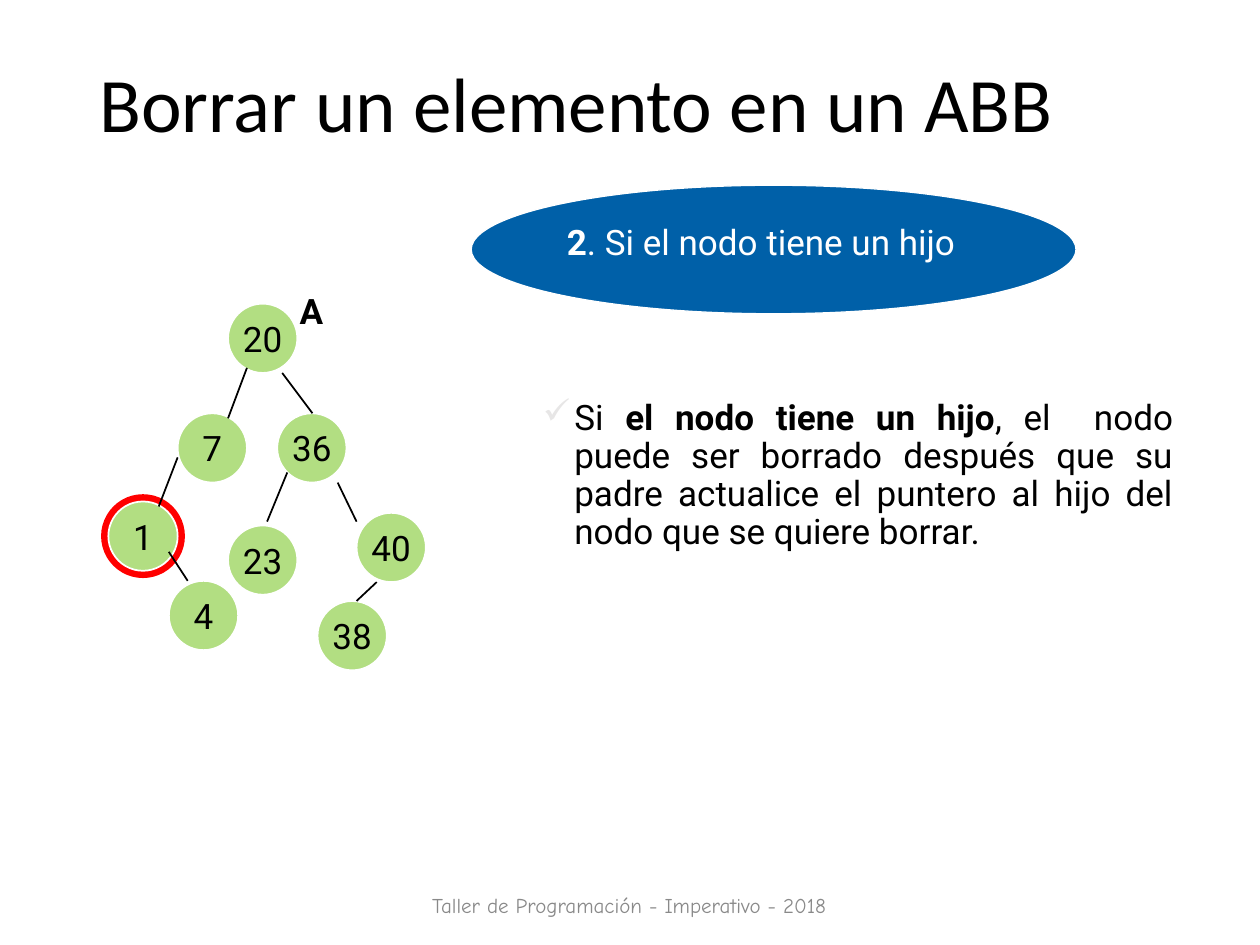
from dataclasses import dataclass

from lxml.etree import SubElement
from pptx import Presentation
from pptx.dml.color import RGBColor
from pptx.enum.shapes import MSO_CONNECTOR, MSO_SHAPE
from pptx.enum.text import MSO_ANCHOR as Anchor, MSO_AUTO_SIZE as AutoSize, PP_ALIGN as Align
from pptx.oxml.ns import qn
from pptx.util import Emu, Inches, Pt

COLUMNS, ROWS = 100, 75
NODE_SIZE = 5.5


@dataclass(frozen=True)
class Theme:
    ink: str = "000000"
    paper: str = "FFFFFF"
    node: str = "B2DE82"
    ring: str = "FF0000"
    ring_fill: str = "BED1E0"
    banner: str = "0060A8"
    bullet: str = "E7E6E6"
    footer: str = "898989"
    title_font: str = "Calibri"
    body_font: str = "Roboto"
    footer_font: str = "Comic Neue"
    title_size: int = 44
    body_size: int = 20
    footer_size: int = 12


@dataclass(frozen=True)
class Box:
    """An area in grid columns and rows."""
    left: float
    top: float
    width: float
    height: float


@dataclass(frozen=True)
class Node:
    value: int
    left: float
    top: float


@dataclass(frozen=True)
class Edge:
    start: tuple[float, float]
    end: tuple[float, float]


@dataclass(frozen=True)
class Part:
    text: str
    bold: bool = False


THEME = Theme()

NODES = [
    Node(20, 18.1, 24.1),
    Node(7, 14.1, 32.8),
    Node(36, 22, 32.8),
    Node(1, 8.6, 39.8),
    Node(4, 13.4, 46.1),
    Node(23, 18.1, 41.7),
    Node(40, 28.3, 40.7),
    Node(38, 25.2, 47.7),
]
EDGES = [
    Edge((19.6, 29.2), (18.1, 33.2)),
    Edge((22.4, 29.6), (24.8, 32.8)),
    Edge((14.1, 36.3), (12.6, 40.2)),
    Edge((13.4, 43.8), (14.9, 46.1)),
    Edge((22.8, 37.5), (21.2, 41.4)),
    Edge((26.8, 38.3), (28.3, 41.4)),
    Edge((29.9, 46.2), (28.3, 47.7)),
]

presentation = Presentation()
presentation.slide_width, presentation.slide_height = Inches(10), Inches(7.5)
slide = presentation.slides.add_slide(presentation.slide_layouts[5])


def across(columns: float) -> Emu:
    return Emu(round(presentation.slide_width * columns / COLUMNS))


def down(rows: float) -> Emu:
    return Emu(round(presentation.slide_height * rows / ROWS))


def bounds(box: Box) -> tuple[Emu, Emu, Emu, Emu]:
    return across(box.left), down(box.top), across(box.width), down(box.height)


def color(value: str) -> RGBColor:
    return RGBColor.from_string(value)


def style_runs(paragraph, font_name: str, size: int, ink: str) -> None:
    for run in paragraph.runs:
        run.font.name = font_name
        run.font.size = Pt(size)
        run.font.color.rgb = color(ink)


def add_ellipse(box: Box, fill: str, line: str, line_width: float):
    shape = slide.shapes.add_shape(MSO_SHAPE.OVAL, *bounds(box))
    shape.shadow.inherit = False
    shape.fill.solid()
    shape.fill.fore_color.rgb = color(fill)
    shape.line.color.rgb = color(line)
    shape.line.width = Pt(line_width)
    return shape


def add_node(node: Node) -> None:
    box = Box(node.left, node.top, NODE_SIZE, NODE_SIZE)
    text_frame = add_ellipse(box, THEME.node, THEME.paper, 1).text_frame
    text_frame.word_wrap = False
    text_frame.vertical_anchor = Anchor.MIDDLE
    text_frame.text = str(node.value)
    paragraph = text_frame.paragraphs[0]
    paragraph.alignment = Align.CENTER
    style_runs(paragraph, THEME.body_font, THEME.body_size, THEME.ink)


def add_edge(edge: Edge) -> None:
    (start_x, start_y), (end_x, end_y) = edge.start, edge.end
    connector = slide.shapes.add_connector(
        MSO_CONNECTOR.STRAIGHT, across(start_x), down(start_y), across(end_x), down(end_y))
    connector.line.color.rgb = color(THEME.ink)
    connector.line.width = Pt(1)
    SubElement(connector.element.spPr, qn("a:effectLst"))


def add_text(box: Box, parts: list[Part], ink: str = THEME.ink,
             font_name: str = THEME.body_font, size: int = THEME.body_size):
    """Add a one-paragraph text box and return its paragraph and frame."""
    text_frame = slide.shapes.add_textbox(*bounds(box)).text_frame
    text_frame.word_wrap = True
    paragraph = text_frame.paragraphs[0]
    for part in parts:
        run = paragraph.add_run()
        run.text = part.text
        run.font.bold = part.bold
    style_runs(paragraph, font_name, size, ink)
    return paragraph, text_frame


def add_check_bullet(paragraph) -> None:
    properties = paragraph._p.get_or_add_pPr()
    properties.set("marL", str(Inches(0.25)))
    properties.set("indent", str(-Inches(0.25)))
    bullet_color = SubElement(properties, qn("a:buClr"))
    SubElement(bullet_color, qn("a:srgbClr")).set("val", THEME.bullet)
    SubElement(properties, qn("a:buChar")).set("char", "✓")


def format_title() -> None:
    title = slide.shapes.title
    title.left, title.top, title.width, title.height = bounds(Box(6.9, 1.3, 86.3, 14.5))
    title.text_frame.text = "Borrar un elemento en un ABB"
    title.text_frame.auto_size = AutoSize.NONE
    title.text_frame.vertical_anchor = Anchor.MIDDLE
    paragraph = title.text_frame.paragraphs[0]
    paragraph.alignment = Align.LEFT
    paragraph.line_spacing = 0.9
    style_runs(paragraph, THEME.title_font, THEME.title_size, THEME.ink)


def add_tree() -> None:
    add_ellipse(Box(8.3, 39.5, 6.1, 6.1), THEME.ring_fill, THEME.ring, 4)
    for node in NODES:
        add_node(node)
    for edge in EDGES:
        add_edge(edge)
    add_text(Box(22.8, 22.5, 3.9, 4.4), [Part("A", True)])


def add_banner() -> None:
    add_ellipse(Box(37.4, 14.7, 48, 10.2), THEME.banner, THEME.paper, 0.75)
    add_text(Box(44, 17, 40, 4.4),
             [Part("2", True), Part(". Si el nodo tiene un hijo")], THEME.paper)


def add_explanation() -> None:
    paragraph, _ = add_text(Box(42.1, 31.3, 52, 18), [
        Part("Si "),
        Part("el nodo tiene un hijo", True),
        Part(", el  nodo puede ser borrado después que su padre actualice "
             "el puntero al hijo del nodo que se quiere borrar."),
    ])
    add_check_bullet(paragraph)
    paragraph.alignment = Align.JUSTIFY
    paragraph.line_spacing = 0.9


def add_footer() -> None:
    paragraph, text_frame = add_text(
        Box(33.1, 69.5, 33.7, 4), [Part("Taller de Programación - Imperativo - 2018")],
        THEME.footer, THEME.footer_font, THEME.footer_size)
    text_frame.vertical_anchor = Anchor.MIDDLE
    paragraph.alignment = Align.CENTER
    paragraph.line_spacing = 1.35


format_title()
add_explanation()
add_tree()
add_banner()
add_footer()
presentation.save("out.pptx")
